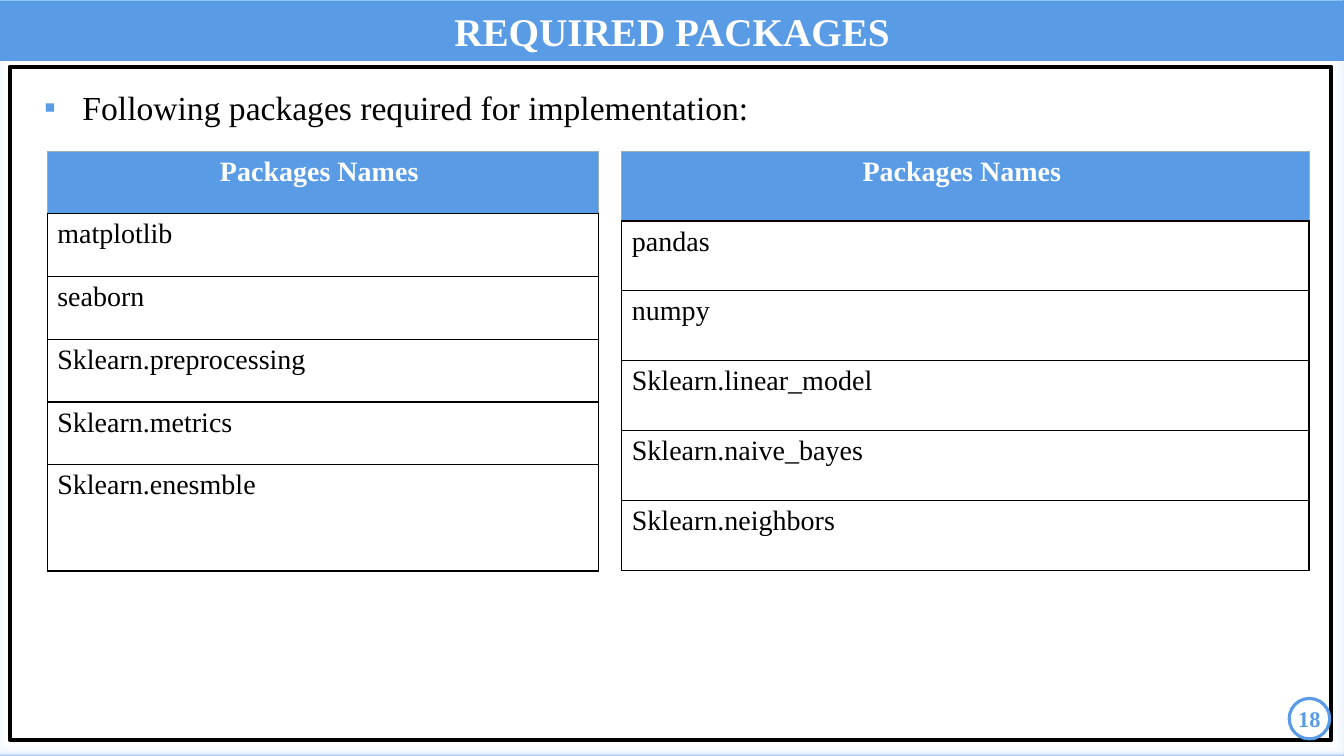
from pptx import Presentation
from pptx.dml.color import RGBColor
from pptx.enum.shapes import MSO_SHAPE
from pptx.enum.text import MSO_ANCHOR, MSO_AUTO_SIZE, PP_ALIGN
from pptx.oxml.ns import qn
from pptx.util import Cm, Pt
from lxml import etree

RECT, OVAL = MSO_SHAPE.RECTANGLE, MSO_SHAPE.OVAL
TOP, MIDDLE = MSO_ANCHOR.TOP, MSO_ANCHOR.MIDDLE
LEFT, CENTER, JUSTIFY = PP_ALIGN.LEFT, PP_ALIGN.CENTER, PP_ALIGN.JUSTIFY
NO_FIT = MSO_AUTO_SIZE.NONE

COLORS = {
    "blue": "599CE5",
    "edge": "8EC5FF",
    "grey": "9BAFB5",
    "white": "FFFFFF",
    "black": "000000",
}
FONT = "Times New Roman"
WIDTH, HEIGHT = 33.87, 19.05


def rgb(name):
    return RGBColor.from_string(COLORS[name])


def add_color(parent, name, alpha=None):
    clr = etree.SubElement(parent, qn("a:srgbClr"), val=COLORS[name])
    if alpha is not None:
        etree.SubElement(clr, qn("a:alpha"), val=str(alpha * 1000))


class SlideBuilder:
    def __init__(self, slide):
        self.slide = slide
        self.shapes = slide.shapes

    def paint(self, sp, fill, line, weight):
        sp.fill.solid()
        sp.fill.fore_color.rgb = rgb(fill)
        sp.line.color.rgb = rgb(line)
        sp.line.width = Pt(weight)

    def set_text(self, tf, text, size, color, bold=False, align=LEFT):
        tf.text = text
        p = tf.paragraphs[0]
        p.alignment = align
        font = p.runs[0].font
        font.name, font.size, font.bold = FONT, Pt(size), bold
        font.color.rgb = rgb(color)
        return p

    def shape(self, kind, box, fill, line, weight):
        sp = self.shapes.add_shape(kind, *map(Cm, box))
        sp.shadow.inherit = False
        self.paint(sp, fill, line, weight)
        return sp

    def title(self, text, box):
        sp = self.shapes.title
        sp.left, sp.top, sp.width, sp.height = map(Cm, box)
        self.paint(sp, "blue", "blue", 1)
        tf = sp.text_frame
        tf.auto_size = NO_FIT
        tf.vertical_anchor = MIDDLE
        self.set_text(tf, text, 28, "white", True, CENTER)
        sp.element.getparent().append(sp.element)

    def frame(self, text, box):
        sp = self.shape(RECT, box, "white", "black", 3)
        effects = sp.element.spPr.find(qn("a:effectLst"))
        glow = etree.SubElement(effects, qn("a:glow"), rad=str(Pt(7)))
        add_color(glow, "white", 90)
        tf = sp.text_frame
        tf.vertical_anchor = TOP
        tf.margin_left, tf.margin_top = 0, Cm(0.51)
        tf.margin_right, tf.margin_bottom = Cm(1.02), Cm(0.13)
        p = self.set_text(tf, text, 24, "black", align=JUSTIFY)
        pPr = p._p.get_or_add_pPr()
        pPr.set("marL", str(Cm(1.83)))
        pPr.set("indent", str(Cm(-0.97)))
        add_color(etree.SubElement(pPr, qn("a:buClr")), "blue")
        etree.SubElement(pPr, qn("a:buFont"), typeface=FONT)
        etree.SubElement(pPr, qn("a:buChar"), char="▪")

    def borders(self, cell, header):
        tcPr = cell._tc.get_or_add_tcPr()
        for side in "LRTB":
            soft = header and side != "B"
            ln = etree.SubElement(tcPr, qn("a:ln" + side), w=str(Pt(0.5 if soft else 1)))
            add_color(etree.SubElement(ln, qn("a:solidFill")), "grey" if soft else "black")

    def table(self, left, top, width, names, heights):
        rows = ["Packages Names "] + names
        gf = self.shapes.add_table(len(rows), 1, Cm(left), Cm(top), Cm(width), Cm(sum(heights)))
        table = gf.table
        table.first_row = table.horz_banding = False
        for i, (text, height) in enumerate(zip(rows, heights)):
            table.rows[i].height = Cm(height)
            cell = table.cell(i, 0)
            header = i == 0
            self.borders(cell, header)
            if header:
                cell.fill.solid()
                cell.fill.fore_color.rgb = rgb("blue")
                self.set_text(cell.text_frame, text, 20, "white", True, CENTER)
            else:
                cell.fill.background()
                self.set_text(cell.text_frame, text, 20, "black")

    def badge(self, text, box):
        sp = self.shape(OVAL, box, "white", "blue", 2.25)
        clr = sp.element.spPr.find(qn("a:solidFill"))[0]
        etree.SubElement(clr, qn("a:alpha"), val="70000")
        tf = sp.text_frame
        tf.vertical_anchor = MIDDLE
        tf.margin_left = tf.margin_right = Cm(0.05)
        self.set_text(tf, text, 16, "blue", True, CENTER)


def main():
    prs = Presentation()
    prs.slide_width, prs.slide_height = Cm(WIDTH), Cm(HEIGHT)
    s = SlideBuilder(prs.slides.add_slide(prs.slide_layouts[5]))
    s.shape(RECT, (0, 0, WIDTH, HEIGHT), "edge", "blue", 0.75)
    s.frame("Following packages required for implementation:", (0.25, 1.68, 33.3, 16.97))
    s.title("REQUIRED PACKAGES", (0, 0.05, WIDTH, 1.47))
    s.table(1.19, 3.81, 13.89,
            ["matplotlib", "seaborn", "Sklearn.preprocessing", "Sklearn.metrics", "Sklearn.enesmble"],
            [1.58] * 5 + [2.68])
    s.badge("18", (32.49, 17.6, 1.02, 1.02))
    s.table(15.67, 3.81, 17.32,
            ["pandas", "numpy", "Sklearn.linear_model", "Sklearn.naive_bayes", "Sklearn.neighbors"],
            [1.76] * 6)
    prs.save("out.pptx")


if __name__ == "__main__":
    main()
